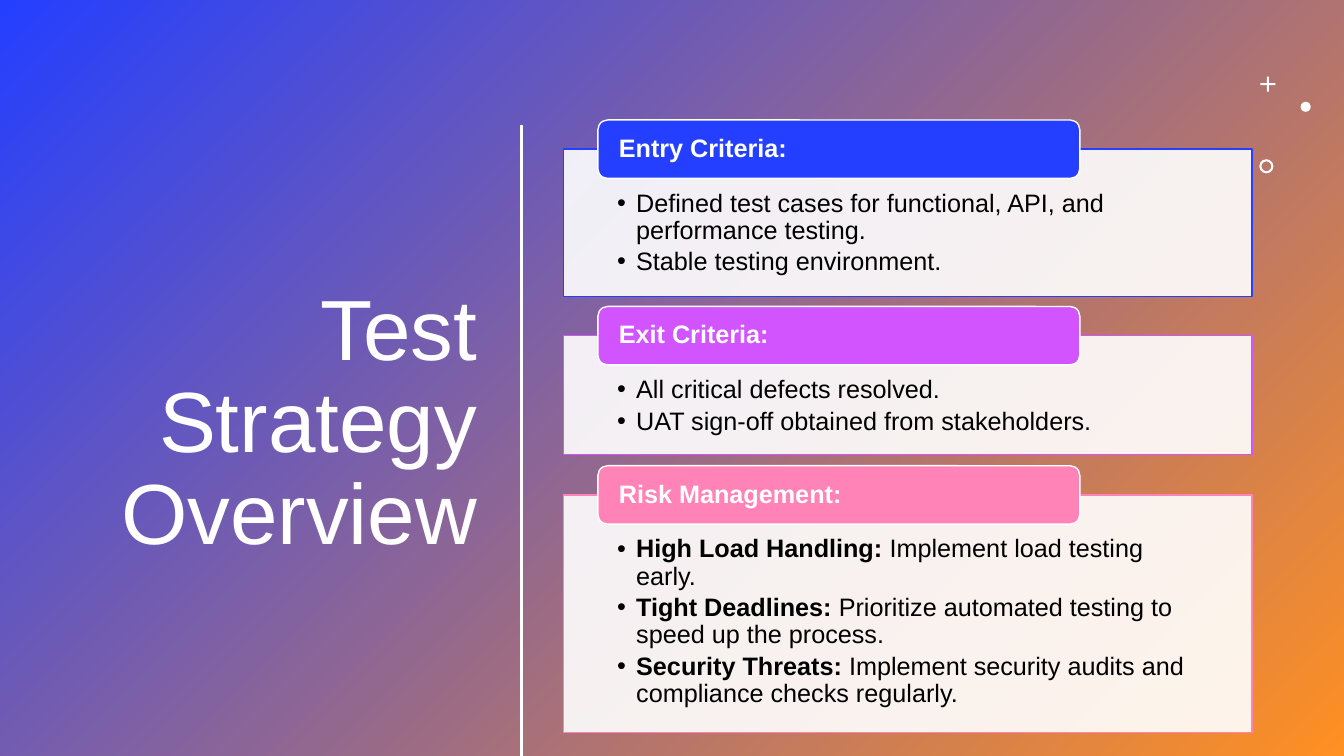
"""Build the Test Strategy Overview slide."""
from lxml.etree import SubElement
from pptx import Presentation
from pptx.dml.color import RGBColor
from pptx.enum.shapes import MSO_CONNECTOR, MSO_SHAPE
from pptx.enum.text import MSO_ANCHOR, MSO_AUTO_SIZE, PP_ALIGN
from pptx.oxml.ns import qn
from pptx.util import Pt

PX = 9144
HUES = {"blue": "243FFF", "violet": "D154FF", "pink": "FF83B6",
        "orange": "FF9022", "white": "FFFFFF", "black": "000000"}
RGB = {name: RGBColor.from_string(code) for name, code in HUES.items()}
CARDS = [
    ("Entry Criteria:", "blue", 148, 146,
     [("", "Defined test cases for functional, API, and performance testing."),
      ("", "Stable testing environment.")]),
    ("Exit Criteria:", "violet", 333, 118,
     [("", "All critical defects resolved."),
      ("", "UAT sign-off obtained from stakeholders.")]),
    ("Risk Management:", "pink", 491, 236,
     [("High Load Handling:", " Implement load testing early."),
      ("Tight Deadlines:", " Prioritize automated testing to speed up the process."),
      ("Security Threats:", " Implement security audits and compliance checks regularly.")]),
]


def draw(kind, box, fill, edge=None):
    shape = slide.shapes.add_shape(kind, *[n * PX for n in box])
    shape.shadow.inherit = False
    shape.fill.solid()
    shape.fill.fore_color.rgb = RGB[fill]
    if edge:
        shape.line.color.rgb = RGB[edge]
        shape.line.width = Pt(1)
    else:
        shape.line.fill.background()
    return shape


def write(shape, items, size=18, hue="white", align=PP_ALIGN.LEFT,
          anchor=MSO_ANCHOR.MIDDLE, inset=(10, 5, 10, 5), after=0, bullet=False):
    frame = shape.text_frame
    frame.word_wrap = True
    frame.auto_size = MSO_AUTO_SIZE.NONE
    frame.vertical_anchor = anchor
    (frame.margin_left, frame.margin_top,
     frame.margin_right, frame.margin_bottom) = [n * PX for n in inset]
    for i, parts in enumerate(items):
        para = frame.add_paragraph() if i else frame.paragraphs[0]
        para.alignment = align
        para.line_spacing = 0.9
        para.space_before = Pt(0)
        para.space_after = Pt(after)
        if bullet:
            props = para._p.get_or_add_pPr()
            props.set("marL", str(19 * PX))
            props.set("indent", str(-19 * PX))
            SubElement(props, qn("a:buFont"), typeface="Arial")
            SubElement(props, qn("a:buChar"), char="•")
        for bold, text in zip((True, False), parts):
            if text:
                run = para.add_run()
                run.text = text
                run.font.name = "Arial"
                run.font.size = Pt(size)
                run.font.bold = bold
                run.font.color.rgb = RGB[hue]


deck = Presentation()
deck.slide_width, deck.slide_height = 1333 * PX, 750 * PX
slide = deck.slides.add_slide(deck.slide_layouts[5])

back = draw(MSO_SHAPE.RECTANGLE, (0, 0, 1333, 750), "blue")
back.fill.gradient()
back.fill.gradient_angle = 315
for stop, hue in zip(back.fill.gradient_stops, ("blue", "orange")):
    stop.color.rgb = RGB[hue]
slide.shapes._spTree.insert(2, back._element)

title = slide.shapes.title
title.left, title.top, title.width, title.height = [n * PX for n in (52, 116, 431, 611)]
write(title, [("", "Test Strategy Overview")], size=61, align=PP_ALIGN.RIGHT)

plus = draw(MSO_SHAPE.CROSS, (1250, 76, 15, 15), "white")
plus.adjustments[0] = 0.43
draw(MSO_SHAPE.OVAL, (1290, 101, 10, 10), "white")
ring = draw(MSO_SHAPE.DONUT, (1249, 158, 14, 14), "white")
ring.adjustments[0] = 0.15

rule = slide.shapes.add_connector(MSO_CONNECTOR.STRAIGHT, 517 * PX, 124 * PX, 517 * PX, 750 * PX)
rule.line.color.rgb = RGB["white"]
rule.line.width = Pt(2)
SubElement(rule._element.spPr, qn("a:effectLst"))

for head, hue, top, height, items in CARDS:
    card = draw(MSO_SHAPE.RECTANGLE, (559, top, 683, height), "white", hue)
    shade = card._element.spPr.find(qn("a:solidFill")).find(qn("a:srgbClr"))
    SubElement(shade, qn("a:alpha"), val="90000")
    write(card, items, hue="black", anchor=MSO_ANCHOR.TOP,
          inset=(53, 41, 53, 14), after=3, bullet=True)
    tab = draw(MSO_SHAPE.ROUNDED_RECTANGLE, (593, top - 29, 478, 58), hue, "white")
    write(tab, [(head, "")], inset=(18, 0, 18, 0))

deck.save("out.pptx")
